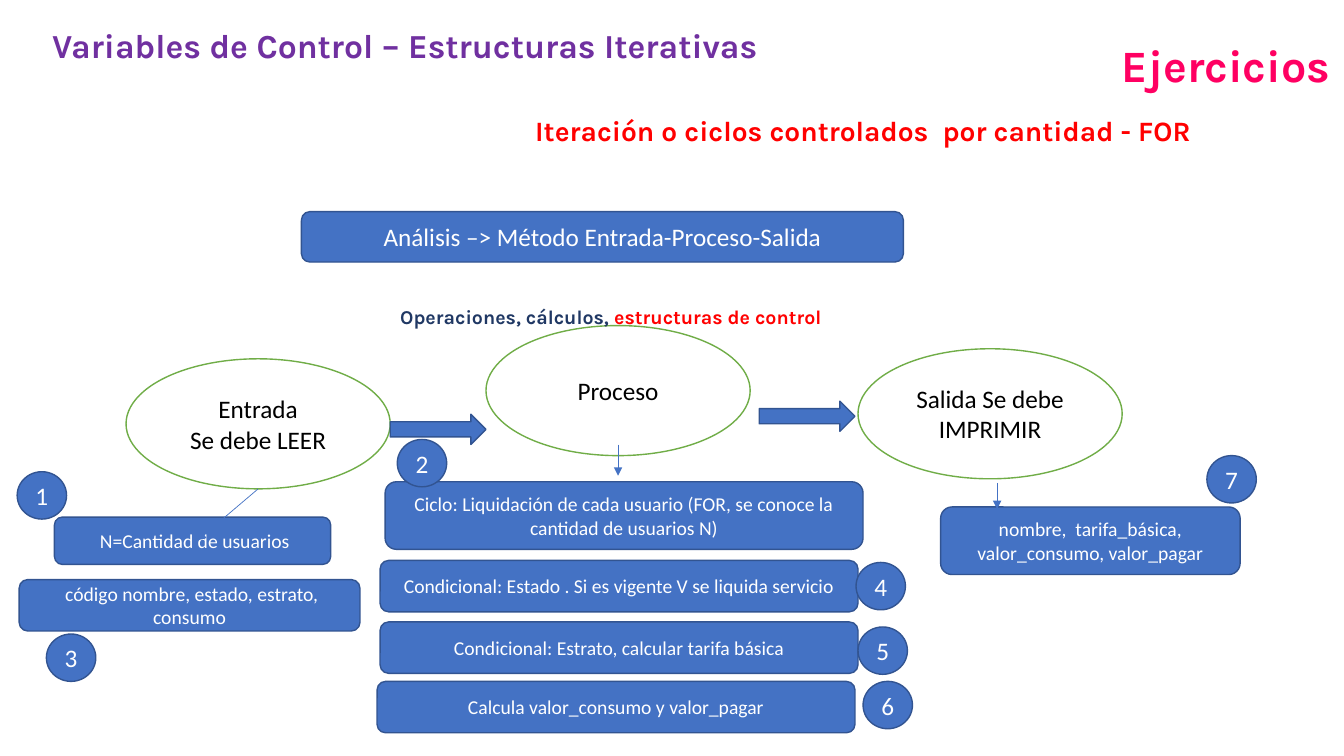
from lxml import etree
from pptx import Presentation
from pptx import util as u
from pptx.dml.color import RGBColor
from pptx.enum import shapes, text
from pptx.oxml.ns import qn

prs = Presentation()
prs.slide_width, prs.slide_height = u.Inches(13.33), u.Inches(7.5)
s = prs.slides.add_slide(prs.slide_layouts[6])
COL, ROW = prs.slide_width / 1333, prs.slide_height / 750
KIND = shapes.MSO_SHAPE


def color(value):
    return RGBColor.from_string(value)


def add_shape(kind, x, y, w, h, lines=(), size=18, fill="4472C4", line="325491", ink="FFFFFF"):
    sp = s.shapes.add_shape(kind, int(x * COL), int(y * ROW), int(w * COL), int(h * ROW))
    sp.shadow.inherit = False
    sp.fill.solid()
    sp.fill.fore_color.rgb = color(fill)
    sp.line.color.rgb = color(line)
    sp.line.width = u.Pt(1)
    tf = sp.text_frame
    tf.word_wrap = True
    tf.vertical_anchor = text.MSO_ANCHOR.MIDDLE
    for i, words in enumerate(lines):
        p = tf.add_paragraph() if i else tf.paragraphs[0]
        p.text = words
        p.alignment = text.PP_ALIGN.CENTER
        p.font.name, p.font.size = "Calibri", u.Pt(size)
        p.font.color.rgb = color(ink)


for x, y, lines in [
    (125, 356, ["Entrada", "Se debe LEER"]),
    (482, 323, ["Proceso"]),
    (851, 346, ["Salida Se debe IMPRIMIR"]),
]:
    add_shape(KIND.OVAL, x, y, 262, 129, lines, fill="FFFFFF", line="70AD47", ink="000000")

add_shape(KIND.ROUNDED_RECTANGLE, 299, 210, 597, 50, ["Análisis –> Método Entrada-Proceso-Salida"])

for x, y in [(387, 411), (753, 398)]:
    add_shape(KIND.RIGHT_ARROW, x, y, 95, 30)

for x, y, w, h, words in [
    (54, 513, 274, 47, " N=Cantidad de usuarios"),
    (19, 575, 338, 51, " código nombre, estado, estrato, consumo"),
    (382, 478, 474, 67, "Ciclo: Liquidación de cada usuario (FOR, se conoce la cantidad de usuarios N)"),
    (377, 556, 474, 51, "Condicional: Estado . Si es vigente V se liquida servicio"),
    (377, 617, 474, 51, "Condicional: Estrato, calcular tarifa básica"),
    (374, 676, 474, 51, "Calcula valor_consumo y valor_pagar"),
    (933, 503, 297, 67, "nombre,  tarifa_básica, valor_consumo, valor_pagar"),
]:
    add_shape(KIND.ROUNDED_RECTANGLE, x, y, w, h, [words], 14)

for x1, y1, x2, y2 in [(256, 485, 196, 536), (613, 441, 613, 472), (989, 479, 989, 505)]:
    c = s.shapes.add_connector(shapes.MSO_CONNECTOR.STRAIGHT,
                               int(x1 * COL), int(y1 * ROW), int(x2 * COL), int(y2 * ROW))
    c.line.color.rgb = color("4472C4")
    c.line.width = u.Pt(0.5)
    etree.SubElement(c.line._get_or_add_ln(), qn("a:tailEnd"), type="triangle")
    etree.SubElement(c._element.spPr, qn("a:effectLst"))

steps = [(17, 468), (394, 436), (46, 629), (849, 558), (851, 622), (856, 676), (1197, 452)]
for number, (x, y) in enumerate(steps, 1):
    add_shape(KIND.OVAL, x, y, 49, 47, [str(number)])

LEFT, JUSTIFY = text.PP_ALIGN.LEFT, text.PP_ALIGN.JUSTIFY
for x, y, w, h, size, align, runs in [
    (387, 298, 899, 34, 14, JUSTIFY,
     [("Operaciones, cálculos, ", "203864"), ("estructuras de control", "FF0000")]),
    (1103, 33, 293, 64, 32, LEFT, [("Ejercicios", "FF0062")]),
    (521, 108, 791, 44, 20, JUSTIFY,
     [("Iteración o ciclos controlados  por cantidad - FOR", "FF0000")]),
    (42, 20, 740, 50, 24, LEFT, [("Variables de Control – Estructuras Iterativas", "7030A0")]),
]:
    tf = s.shapes.add_textbox(int(x * COL), int(y * ROW), int(w * COL), int(h * ROW)).text_frame
    tf.word_wrap = True
    p = tf.paragraphs[0]
    p.alignment = align
    p.font.name, p.font.size, p.font.bold = "Karla", u.Pt(size), True
    for words, ink in runs:
        r = p.add_run()
        r.text = words
        r.font.color.rgb = color(ink)

prs.save("out.pptx")
